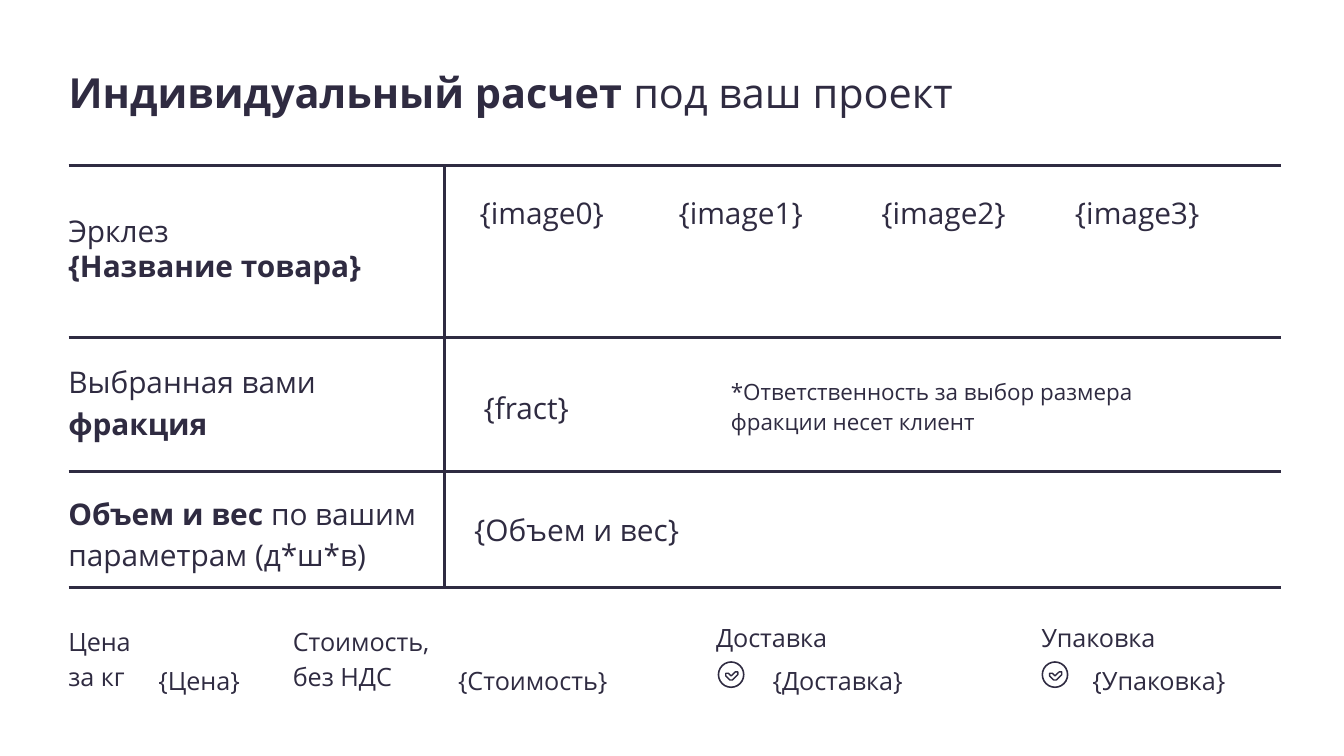
"""Build a slide with an individual price calculation for a project."""
from lxml.etree import SubElement
from pptx import Presentation
from pptx.dml.color import RGBColor
from pptx.enum.shapes import MSO_CONNECTOR, MSO_SHAPE
from pptx.enum.text import MSO_ANCHOR, MSO_AUTO_SIZE, PP_ALIGN
from pptx.oxml.ns import qn
from pptx.util import Inches, Pt

INK = RGBColor(0x2F, 0x2B, 0x41)
WHITE = RGBColor(0xFF, 0xFF, 0xFF)
FONT = "Open Sans"
SLIDE_WIDTH = Inches(10)
SLIDE_HEIGHT = SLIDE_WIDTH * 9 // 16
LEFT, RIGHT, DIVIDER = 0.51, 9.53, 3.31
ROW_EDGES = (1.23, 2.51, 3.51, 4.37)
LABEL_LEFT = 0.41
IMAGE_LEFTS = (3.47, 4.95, 6.46, 7.9)
CHECK_POINTS = ((0.13, 0.08), (0.1, 0.11), (0.08, 0.09), (0.06, 0.09), (0.06, 0.11),
                (0.09, 0.14), (0.11, 0.14), (0.15, 0.1), (0.15, 0.08))

ROW_TEXTS = (
    (LABEL_LEFT, 2.57, 2.51, 0.8, [("Выбранная вами ", False), ("фракция", True)]),
    (LABEL_LEFT, 3.55, 3.02, 0.8,
     [("Объем и вес ", True), ("по вашим параметрам (д*ш*в)", False)]),
    (3.5, 2.76, 1.84, 0.44, [("{fract}", False)]),
    (3.43, 3.67, 4.29, 0.44, [("{Объем и вес}", False)]),
)
FOOTER_TEXTS = (
    (LABEL_LEFT, 4.53, 0.81, 0.72, "Цена\nза кг"),
    (1.08, 4.82, 0.85, 0.38, "{Цена}"),
    (2.08, 4.53, 1.39, 0.72, "Стоимость,\nбез НДС"),
    (3.31, 4.82, 1.44, 0.38, "{Стоимость}"),
    (5.23, 4.5, 1.56, 0.46, "Доставка"),
    (5.65, 4.82, 1.33, 0.41, "{Доставка}"),
    (7.65, 4.5, 1.33, 0.44, "Упаковка"),
    (8.03, 4.82, 1.58, 0.38, "{Упаковка}"),
)


def write_text(shape, paragraphs, size=16, line_spacing=1.15, space_after=12):
    """Fill a shape with paragraphs, each a list of (text, bold) runs."""
    frame = shape.text_frame
    frame.word_wrap = True
    frame.auto_size = MSO_AUTO_SIZE.NONE
    frame.vertical_anchor = MSO_ANCHOR.TOP
    frame.margin_left = frame.margin_right = Inches(0.1)
    frame.margin_top = frame.margin_bottom = Inches(0.1)
    for index, runs in enumerate(paragraphs):
        paragraph = frame.add_paragraph() if index else frame.paragraphs[0]
        paragraph.alignment = PP_ALIGN.LEFT
        paragraph.line_spacing = line_spacing
        paragraph.space_after = Pt(space_after)
        for text, bold in runs:
            for line_index, line in enumerate(text.split("\n")):
                if line_index:
                    paragraph.add_line_break()
                run = paragraph.add_run()
                run.text = line
                run.font.name = FONT
                run.font.size = Pt(size)
                run.font.bold = bold
                run.font.color.rgb = INK


def add_text(slide, left, top, width, height, paragraphs, **text_format):
    """Add a text box and write its paragraphs."""
    box = slide.shapes.add_textbox(Inches(left), Inches(top), Inches(width), Inches(height))
    write_text(box, paragraphs, **text_format)


def add_title(slide, runs):
    """Move and fill the title placeholder."""
    title = slide.shapes.title
    title.left, title.top = Inches(LABEL_LEFT), Inches(0.4)
    title.width, title.height = Inches(7.35), Inches(0.58)
    write_text(title, [runs], size=22.2, line_spacing=1, space_after=0)


def add_rule(slide, start_x, start_y, end_x, end_y):
    """Draw one straight line of the grid."""
    rule = slide.shapes.add_connector(
        MSO_CONNECTOR.STRAIGHT, Inches(start_x), Inches(start_y), Inches(end_x), Inches(end_y))
    rule.line.color.rgb = INK
    rule.line.width = Pt(1.5)
    SubElement(rule._element.spPr, qn("a:effectLst"))


def add_check_icon(slide, left, top):
    """Draw a ring with an outlined check mark as one group."""
    group = slide.shapes.add_group_shape()
    ring = group.shapes.add_shape(
        MSO_SHAPE.DONUT, Inches(left), Inches(top), Inches(0.2), Inches(0.2))
    ring.adjustments[0] = 0.06
    ring.fill.solid()
    ring.fill.fore_color.rgb = INK
    ring.line.fill.background()
    points = [(Inches(left + x), Inches(top + y)) for x, y in CHECK_POINTS]
    builder = group.shapes.build_freeform(*points[0])
    builder.add_line_segments(points[1:], close=True)
    check = builder.convert_to_shape()
    check.fill.background()
    check.line.color.rgb = INK
    check.line.width = Pt(0.75)
    for shape in (ring, check):
        shape.shadow.inherit = False


def main():
    """Build and save the slide."""
    presentation = Presentation()
    presentation.slide_width, presentation.slide_height = SLIDE_WIDTH, SLIDE_HEIGHT
    slide = presentation.slides.add_slide(presentation.slide_layouts[5])
    slide.background.fill.solid()
    slide.background.fill.fore_color.rgb = WHITE

    add_title(slide, [("Индивидуальный расчет ", True), ("под ваш проект", False)])
    for edge in ROW_EDGES:
        add_rule(slide, LEFT, edge, RIGHT, edge)
    add_rule(slide, DIVIDER, ROW_EDGES[0], DIVIDER, ROW_EDGES[-1])

    add_text(slide, LABEL_LEFT, 1.48, 2.83, 0.8,
             [[("Эрклез", False)], [("{Название товара}", True)]],
             line_spacing=1, space_after=0)
    for index, left in enumerate(IMAGE_LEFTS):
        add_text(slide, left, 1.31, 1.25, 0.44, [[(f"{{image{index}}}", False)]])
    for left, top, width, height, runs in ROW_TEXTS:
        add_text(slide, left, top, width, height, [runs])
    add_text(slide, 5.34, 2.68, 3.2, 0.65,
             [[("*Ответственность за выбор размера фракции несет клиент", False)]], size=12)
    for left, top, width, height, text in FOOTER_TEXTS:
        add_text(slide, left, top, width, height, [[(text, False)]], size=13.5)
    for left in (5.34, 7.75):
        add_check_icon(slide, left, 4.92)
    presentation.save("out.pptx")


if __name__ == "__main__":
    main()
